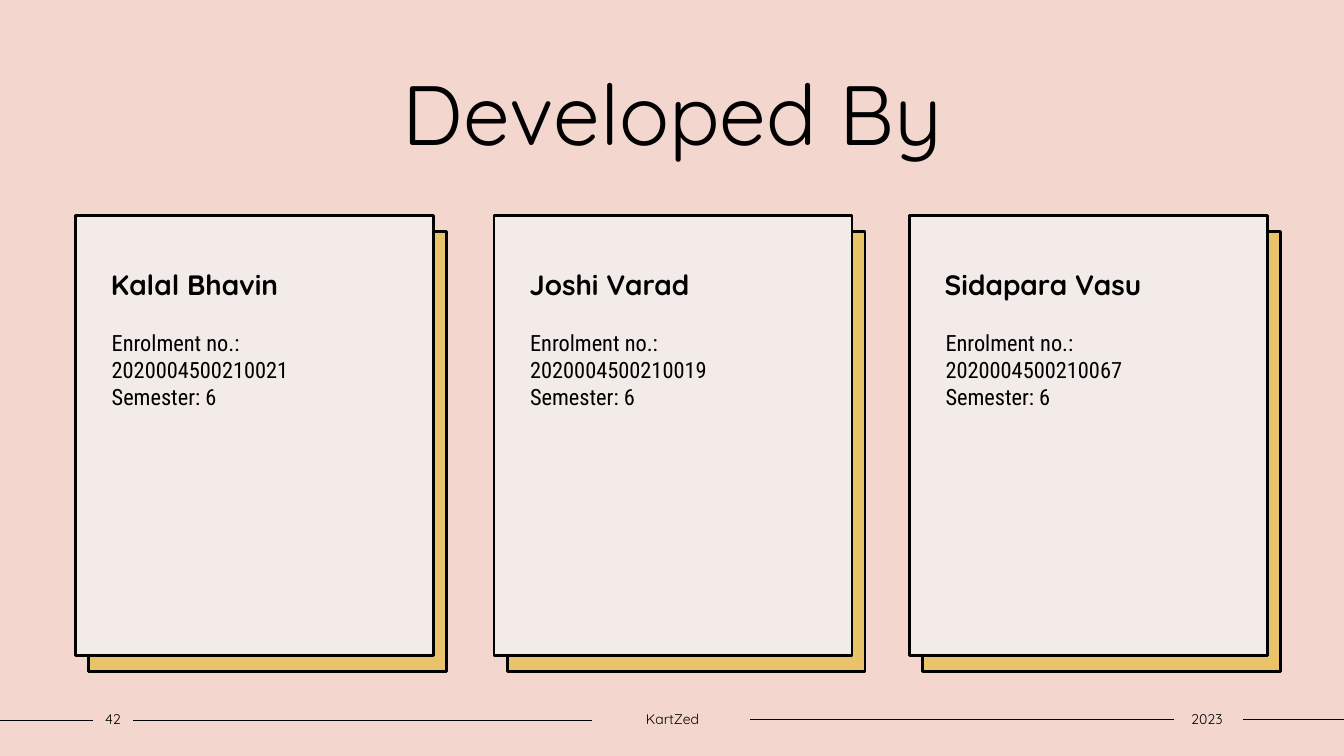
import dataclasses

import lxml.etree
import pptx
import pptx.dml.color
import pptx.enum.shapes
import pptx.enum.text
import pptx.oxml.ns
import pptx.util

Inches = pptx.util.Inches
Pt = pptx.util.Pt
ALIGN = pptx.enum.text.PP_ALIGN
ANCHOR = pptx.enum.text.MSO_ANCHOR


@dataclasses.dataclass(frozen=True)
class Theme:
    background: str = "F3D6CD"
    card: str = "F3EBE8"
    backing: str = "E9C369"
    ink: str = "000000"
    heading_font: str = "Quicksand"
    body_font: str = "Roboto Condensed"
    title_size: int = 60
    name_size: int = 20
    detail_size: int = 16
    footer_size: int = 10
    card_line: int = 2
    rule_line: int = 1


THEME = Theme()
DEVELOPERS = [
    (0.75, "Kalal Bhavin", "2020004500210021"),
    (4.9, "Joshi Varad", "2020004500210019"),
    (9.02, "Sidapara Vasu", "2020004500210067"),
]
FOOTER_RULES = [(0, 0.92, 0.15), (1.32, 5.87, 0.15), (7.44, 11.64, 0.14), (12.33, 13.33, 0.14)]
FOOTER_LABELS = [(0.92, 0.4, "42"), (5.87, 1.6, "KartZed"), (11.62, 0.7, "2023")]


def color(value):
    return pptx.dml.color.RGBColor.from_string(value)


def write(frame, lines, font, size, bold=False, align=ALIGN.LEFT, anchor=ANCHOR.TOP,
          insets=(0.1, 0.05, 0.1, 0.05), spacing=1.0):
    frame.text = "\n".join(lines)
    frame.word_wrap = True
    frame.auto_size = pptx.enum.text.MSO_AUTO_SIZE.NONE
    frame.vertical_anchor = anchor
    frame.margin_left, frame.margin_top, frame.margin_right, frame.margin_bottom = map(Inches, insets)
    for paragraph in frame.paragraphs:
        paragraph.alignment = align
        paragraph.line_spacing = spacing
        for run in paragraph.runs:
            run.font.name = font
            run.font.size = Pt(size)
            run.font.bold = bold
            run.font.color.rgb = color(THEME.ink)


def add_panel(slide, left, top, width, height, fill):
    panel = slide.shapes.add_shape(
        pptx.enum.shapes.MSO_SHAPE.RECTANGLE, Inches(left), Inches(top), Inches(width), Inches(height))
    panel.shadow.inherit = False
    panel.fill.solid()
    panel.fill.fore_color.rgb = color(fill)
    panel.line.color.rgb = color(THEME.ink)
    panel.line.width = Pt(THEME.card_line)
    return panel


def add_title(slide, left, top, width, height):
    title = slide.shapes.title
    title.left, title.top, title.width, title.height = map(Inches, (left, top, width, height))
    write(title.text_frame, ["Developed By"], THEME.heading_font, THEME.title_size,
          align=ALIGN.CENTER, anchor=ANCHOR.MIDDLE)


def add_developer_card(slide, left, top, width, height, name, enrolment):
    add_panel(slide, left + 0.13, top + 0.16, width, height, THEME.backing)
    card = add_panel(slide, left, top, width, height, THEME.card)
    write(card.text_frame, [name], THEME.heading_font, THEME.name_size, bold=True,
          insets=(0.35, 0.55, 0.1, 0.05), spacing=0.9)
    details = slide.shapes.add_textbox(
        Inches(left + 0.26), Inches(top + 1.08), Inches(width - 0.55), Inches(height - 1.31))
    write(details.text_frame, [f"Enrolment no.: {enrolment}", "Semester: 6"],
          THEME.body_font, THEME.detail_size)


def add_footer(slide, left, top, height):
    for start, end, drop in FOOTER_RULES:
        y = Inches(top + drop)
        rule = slide.shapes.add_connector(
            pptx.enum.shapes.MSO_CONNECTOR.STRAIGHT, Inches(left + start), y, Inches(left + end), y)
        rule.line.color.rgb = color(THEME.ink)
        rule.line.width = Pt(THEME.rule_line)
        lxml.etree.SubElement(rule._element.spPr, pptx.oxml.ns.qn("a:effectLst"))
    for offset, width, text in FOOTER_LABELS:
        label = slide.shapes.add_textbox(
            Inches(left + offset), Inches(top), Inches(width), Inches(height))
        write(label.text_frame, [text], THEME.heading_font, THEME.footer_size,
              align=ALIGN.CENTER, anchor=ANCHOR.MIDDLE, insets=(0, 0.05, 0, 0.05))


def add_team_slide(deck):
    slide = deck.slides.add_slide(deck.slide_layouts.get_by_name("Title Only"))
    slide.background.fill.solid()
    slide.background.fill.fore_color.rgb = color(THEME.background)
    add_title(slide, 1.25, 0.56, 10.84, 1.11)
    for left, name, enrolment in DEVELOPERS:
        add_developer_card(slide, left, 2.14, 3.55, 4.36, name, enrolment)
    add_footer(slide, 0, 7, 0.27)


def main():
    deck = pptx.Presentation()
    deck.slide_width = Inches(13.33)
    deck.slide_height = Inches(7.5)
    add_team_slide(deck)
    deck.save("out.pptx")


if __name__ == "__main__":
    main()
